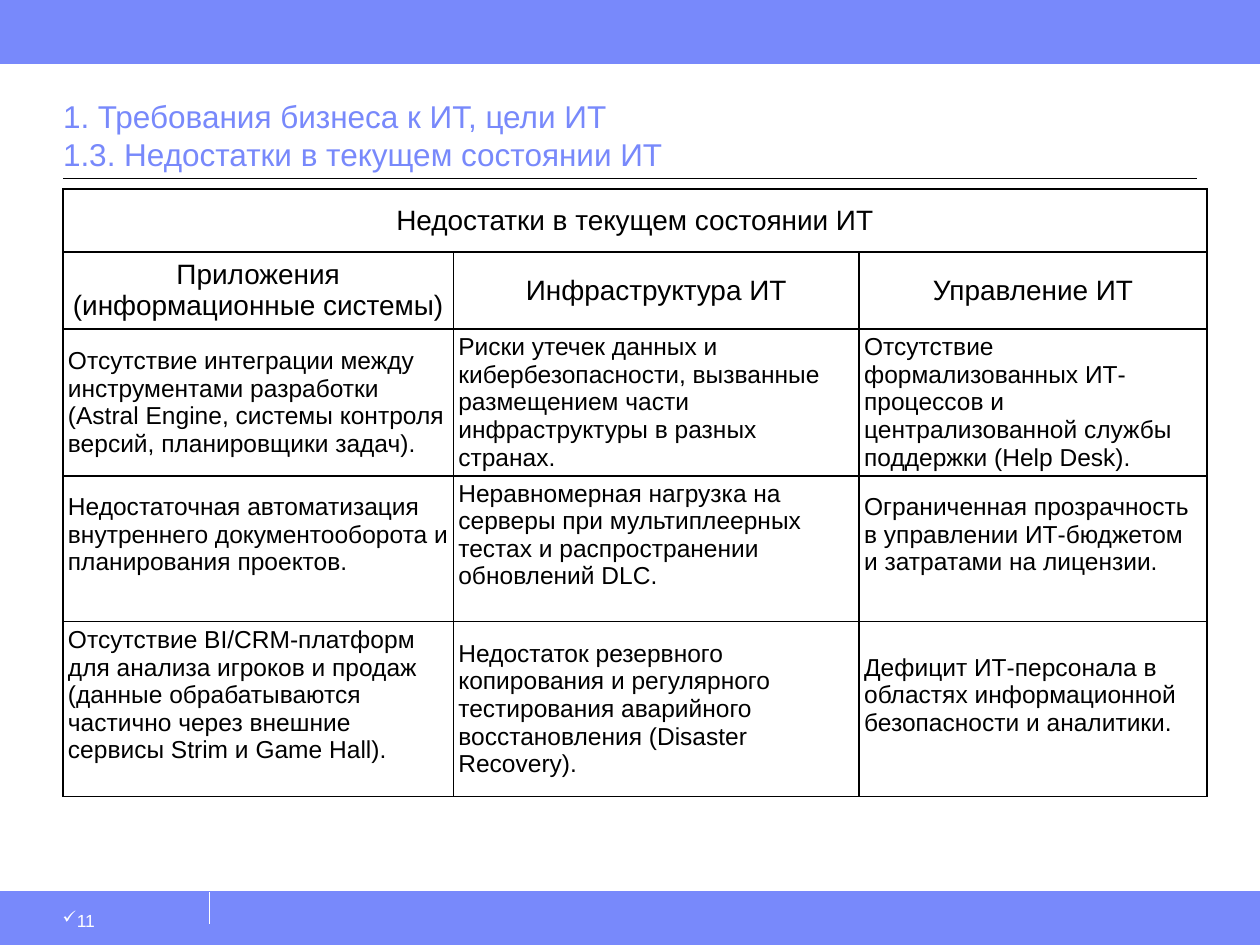
import dataclasses

import pptx
import pptx.dml.color
import pptx.enum.shapes
import pptx.enum.text
import pptx.oxml
import pptx.oxml.ns
import pptx.util
from pptx.util import Cm, Pt

ALIGN = pptx.enum.text.PP_ALIGN
ANCHOR = pptx.enum.text.MSO_ANCHOR
NS = pptx.oxml.ns.nsdecls("a")


@dataclasses.dataclass(frozen=True)
class Theme:
    font: str = "Arial"
    accent: str = "7889FB"
    ink: str = "000000"
    paper: str = "FFFFFF"
    title: int = 18
    header: int = 16
    body: int = 14
    number: int = 10


THEME = Theme()
WIDTH, HEIGHT = 25.4, 19.05
FOOTER_TOP = 17.98
COLUMNS = (7.87, 8.18, 7.01)
ROWS = (1.27, 1.55, 2.62, 2.62, 2.62)
BOTTOM_GAP = 0.56

TABLE_TITLE = "Недостатки в текущем состоянии ИТ"
HEADERS = ("Приложения (информационные системы)", "Инфраструктура ИТ", "Управление ИТ")
PROBLEMS = (
    ("Отсутствие интеграции между инструментами разработки (Astral Engine, системы "
     "контроля версий, планировщики задач).",
     "Риски утечек данных и кибербезопасности, вызванные размещением части "
     "инфраструктуры в разных странах.",
     "Отсутствие формализованных ИТ-процессов и централизованной службы поддержки "
     "(Help Desk)."),
    ("Недостаточная автоматизация внутреннего документооборота и планирования проектов.",
     "Неравномерная нагрузка на серверы при мультиплеерных тестах и распространении "
     "обновлений DLC.",
     "Ограниченная прозрачность в управлении ИТ-бюджетом и затратами на лицензии."),
    ("Отсутствие BI/CRM-платформ для анализа игроков и продаж (данные обрабатываются "
     "частично через внешние сервисы Strim и Game Hall).",
     "Недостаток резервного копирования и регулярного тестирования аварийного "
     "восстановления (Disaster Recovery).",
     "Дефицит ИТ-персонала в областях информационной безопасности и аналитики."),
)
# Bottom gap of each problem cell, in units of BOTTOM_GAP
GAPS = ((0, 0, 0), (1, 1, 1), (1, 0, 1))


def rgb(color):
    return pptx.dml.color.RGBColor.from_string(color)


def write(tf, text, size, color=THEME.ink, align=ALIGN.LEFT):
    """Fill the first paragraph; a newline becomes a line break."""
    p = tf.paragraphs[0]
    p.alignment = align
    for i, line in enumerate(text.split("\n")):
        if i:
            p.add_line_break()
        r = p.add_run()
        r.text = line
        r.font.name = THEME.font
        r.font.size = Pt(size)
        r.font.color.rgb = rgb(color)
    return p


def set_margins(target, left, top, right, bottom):
    target.margin_left, target.margin_top = Cm(left), Cm(top)
    target.margin_right, target.margin_bottom = Cm(right), Cm(bottom)


def add_bar(s, top, height):
    sp = s.shapes.add_shape(pptx.enum.shapes.MSO_SHAPE.RECTANGLE,
                            0, Cm(top), Cm(WIDTH), Cm(height))
    sp.shadow.inherit = False
    sp.fill.solid()
    sp.fill.fore_color.rgb = rgb(THEME.accent)
    sp.line.color.rgb = rgb(THEME.accent)
    sp.line.width = Pt(0.75)


def add_line(s, x1, y1, x2, y2, color, width=0.75):
    line = s.shapes.add_connector(pptx.enum.shapes.MSO_CONNECTOR.STRAIGHT,
                                  Cm(x1), Cm(y1), Cm(x2), Cm(y2))
    line.line.color.rgb = rgb(color)
    line.line.width = Pt(width)
    line._element.spPr.append(pptx.oxml.parse_xml(f"<a:effectLst {NS}/>"))


def add_title(s, text):
    sp = s.shapes.title
    sp.left, sp.top, sp.width, sp.height = Cm(1.27), Cm(1.27), Cm(22.86), Cm(2.34)
    tf = sp.text_frame
    tf.word_wrap = True
    tf.auto_size = pptx.enum.text.MSO_AUTO_SIZE.NONE
    tf.vertical_anchor = ANCHOR.BOTTOM
    set_margins(tf, 0, 0.13, 0, 0.13)
    write(tf, text, THEME.title, THEME.accent)


def add_page_number(s, text):
    sp = s.shapes.add_textbox(Cm(0.85), Cm(18.16), Cm(3.38), Cm(0.89))
    tf = sp.text_frame
    tf.word_wrap = True
    set_margins(tf, 0.41, 0.18, 0.25, 0.13)
    p = write(tf, text, THEME.number, THEME.paper)
    pPr = p._p.get_or_add_pPr()
    for tag in ('buFont typeface="Wingdings"', 'buChar char="ü"'):
        pPr.append(pptx.oxml.parse_xml(f"<a:{tag.replace(' ', f' {NS} ', 1)}/>"))


def add_borders(cell):
    tcPr = cell._tc.get_or_add_tcPr()
    for i, side in enumerate(("lnL", "lnR", "lnT", "lnB")):
        tcPr.insert(i, pptx.oxml.parse_xml(
            f'<a:{side} {NS} w="{Pt(1)}"><a:solidFill>'
            f'<a:srgbClr val="{THEME.ink}"/></a:solidFill></a:{side}>'))


def fill_cell(cell, text, size, align, gap=0):
    cell.vertical_anchor = ANCHOR.MIDDLE
    set_margins(cell, 0.1, 0, 0.1, gap)
    write(cell.text_frame, text, size, align=align)


def add_problem_table(s):
    table = s.shapes.add_table(len(ROWS), len(COLUMNS), Cm(1.27), Cm(3.81),
                               Cm(sum(COLUMNS)), Cm(sum(ROWS))).table
    table.first_row = table.horz_banding = False
    for column, width in zip(table.columns, COLUMNS):
        column.width = Cm(width)
    for row, height in zip(table.rows, ROWS):
        row.height = Cm(height)
    for cell in table.iter_cells():
        cell.fill.background()
        add_borders(cell)

    table.cell(0, 0).merge(table.cell(0, len(COLUMNS) - 1))
    fill_cell(table.cell(0, 0), TABLE_TITLE, THEME.header, ALIGN.CENTER)
    for c, text in enumerate(HEADERS):
        fill_cell(table.cell(1, c), text, THEME.header, ALIGN.CENTER)
    for r, (texts, gaps) in enumerate(zip(PROBLEMS, GAPS), start=2):
        for c, (text, gap) in enumerate(zip(texts, gaps)):
            fill_cell(table.cell(r, c), text, THEME.body, ALIGN.LEFT, gap * BOTTOM_GAP)


def main():
    prs = pptx.Presentation()
    prs.slide_width, prs.slide_height = Cm(WIDTH), Cm(HEIGHT)
    s = prs.slides.add_slide(prs.slide_layouts[5])

    add_bar(s, FOOTER_TOP, HEIGHT - FOOTER_TOP)
    add_bar(s, 0, 1.27)
    add_line(s, 4.23, 18.62, 4.23, FOOTER_TOP, THEME.paper)
    for y in (1.07, FOOTER_TOP):
        add_line(s, 0, y, WIDTH, y, THEME.accent, 0.5)
    add_line(s, 1.27, 3.6, 24.13, 3.6, THEME.ink)

    add_title(s, "1. Требования бизнеса к ИТ, цели ИТ\n1.3. Недостатки в текущем состоянии ИТ")
    add_page_number(s, "11")
    add_problem_table(s)
    prs.save("out.pptx")


if __name__ == "__main__":
    main()
